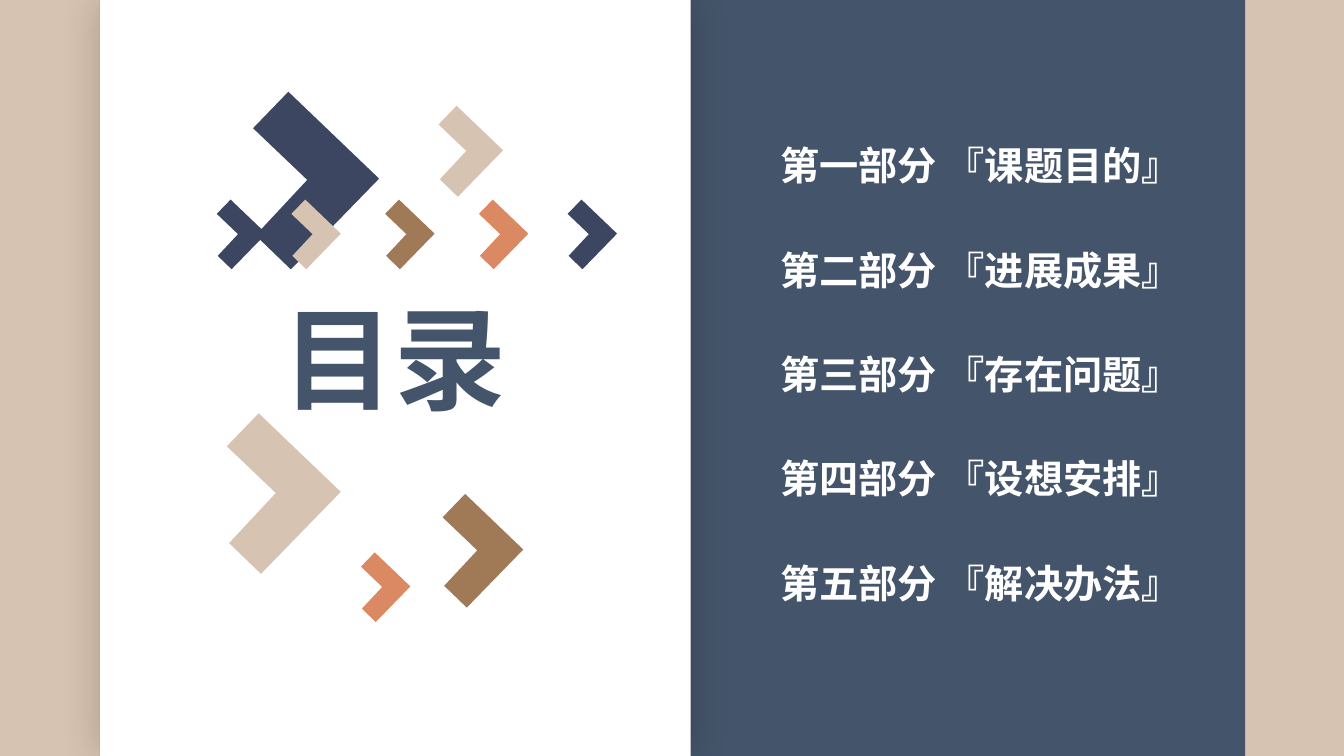
from lxml import etree
from pptx import Presentation
from pptx.dml.color import RGBColor
from pptx.enum.shapes import MSO_SHAPE
from pptx.enum.text import MSO_ANCHOR, MSO_AUTO_SIZE, PP_ALIGN
from pptx.oxml.ns import qn
from pptx.util import Inches, Pt

SAND = RGBColor(0xD7, 0xC3, 0xB1)
SLATE = RGBColor(0x44, 0x54, 0x6A)
NAVY = RGBColor(0x3C, 0x46, 0x61)
BROWN = RGBColor(0xA0, 0x79, 0x57)
ORANGE = RGBColor(0xDB, 0x89, 0x62)
WHITE = RGBColor(0xFF, 0xFF, 0xFF)
FONT = "Noto Sans CJK SC"

# Chevron corners as fractions of its width, from the top clockwise
CHEVRON = [(0.28, 0), (1, 0.69), (0.3, 1.41), (0.02, 1.14), (0.43, 0.7), (0, 0.29)]

SECTIONS = [
    "第一部分 『课题目的』",
    "第二部分 『进展成果』",
    "第三部分 『存在问题』",
    "第四部分 『设想安排』",
    "第五部分 『解决办法』",
]


def paint(shape, color):
    shape.shadow.inherit = False
    shape.fill.solid()
    shape.fill.fore_color.rgb = color
    shape.line.fill.background()


def write_text(shape, text, size, color, align=PP_ALIGN.LEFT, line_spacing=1.0):
    frame = shape.text_frame
    frame.word_wrap = True
    frame.auto_size = MSO_AUTO_SIZE.NONE
    frame.vertical_anchor = MSO_ANCHOR.MIDDLE
    paragraph = frame.paragraphs[0]
    paragraph.alignment = align
    paragraph.line_spacing = line_spacing
    run = paragraph.add_run()
    run.text = text
    run.font.name = FONT
    run.font.size = Pt(size)
    run.font.bold = True
    run.font.color.rgb = color
    east_asian = etree.SubElement(run._r.get_or_add_rPr(), qn("a:ea"))
    east_asian.set("typeface", FONT)


def add_panel(slide, left, top, width, height, color):
    panel = slide.shapes.add_shape(
        MSO_SHAPE.RECTANGLE, Inches(left), Inches(top), Inches(width), Inches(height))
    paint(panel, color)
    return panel


def add_soft_shadow(shape, blur, opacity):
    effects = shape._element.spPr.find(qn("a:effectLst"))
    shadow = etree.SubElement(effects, qn("a:outerShdw"), blurRad=str(Pt(blur)),
                              dist="0", dir="0", algn="ctr", rotWithShape="0")
    color = etree.SubElement(shadow, qn("a:srgbClr"), val="000000")
    etree.SubElement(color, qn("a:alpha"), val=str(opacity * 1000))


def add_chevron(slide, left, top, width, color):
    corners = [(Inches(left + x * width), Inches(top + y * width)) for x, y in CHEVRON]
    builder = slide.shapes.build_freeform(*corners[0])
    builder.add_line_segments(corners[1:], close=True)
    paint(builder.convert_to_shape(), color)


def add_title_panel(slide, left, top, width, height):
    panel = add_panel(slide, left, top, width, height, WHITE)
    add_soft_shadow(panel, blur=30, opacity=20)

    # Title, brought in front of the panel
    title = slide.shapes.title
    panel._element.addnext(title._element)
    title.left, title.top = Inches(left + 1.43), Inches(top + 2.86)
    title.width, title.height = Inches(2.99), Inches(1.52)
    write_text(title, "目录", 80, SLATE, align=PP_ALIGN.CENTER, line_spacing=0.9)

    # Large chevrons above the title
    add_chevron(slide, left + 3.36, top + 1.05, 0.64, SAND)
    add_chevron(slide, left + 1.52, top + 0.91, 1.25, NAVY)

    # Row of small chevrons
    row = [(1.16, NAVY), (1.9, SAND), (2.83, BROWN), (3.76, ORANGE), (4.64, NAVY)]
    for offset, color in row:
        add_chevron(slide, left + offset, top + 1.98, 0.49, color)

    # Chevrons below the title
    add_chevron(slide, left + 1.26, top + 4.1, 1.13, SAND)
    add_chevron(slide, left + 3.4, top + 4.9, 0.8, BROWN)
    add_chevron(slide, left + 2.59, top + 5.48, 0.49, ORANGE)


def add_section_list(slide, left, top, width, pitch):
    for index, section in enumerate(SECTIONS):
        box = slide.shapes.add_textbox(
            Inches(left), Inches(top + index * pitch), Inches(width), Inches(0.54))
        write_text(box, section, 28, WHITE)


def main():
    presentation = Presentation()
    presentation.slide_width = Inches(13.33)
    presentation.slide_height = Inches(7.5)
    slide = presentation.slides.add_slide(presentation.slide_layouts[5])
    slide.background.fill.solid()
    slide.background.fill.fore_color.rgb = SAND

    add_panel(slide, 0.99, 0, 11.36, 7.5, SLATE)
    add_title_panel(slide, 0.99, 0, 5.86, 7.5)
    add_section_list(slide, 7.64, 1.37, 4.4, pitch=1.035)
    presentation.save("out.pptx")


if __name__ == "__main__":
    main()
